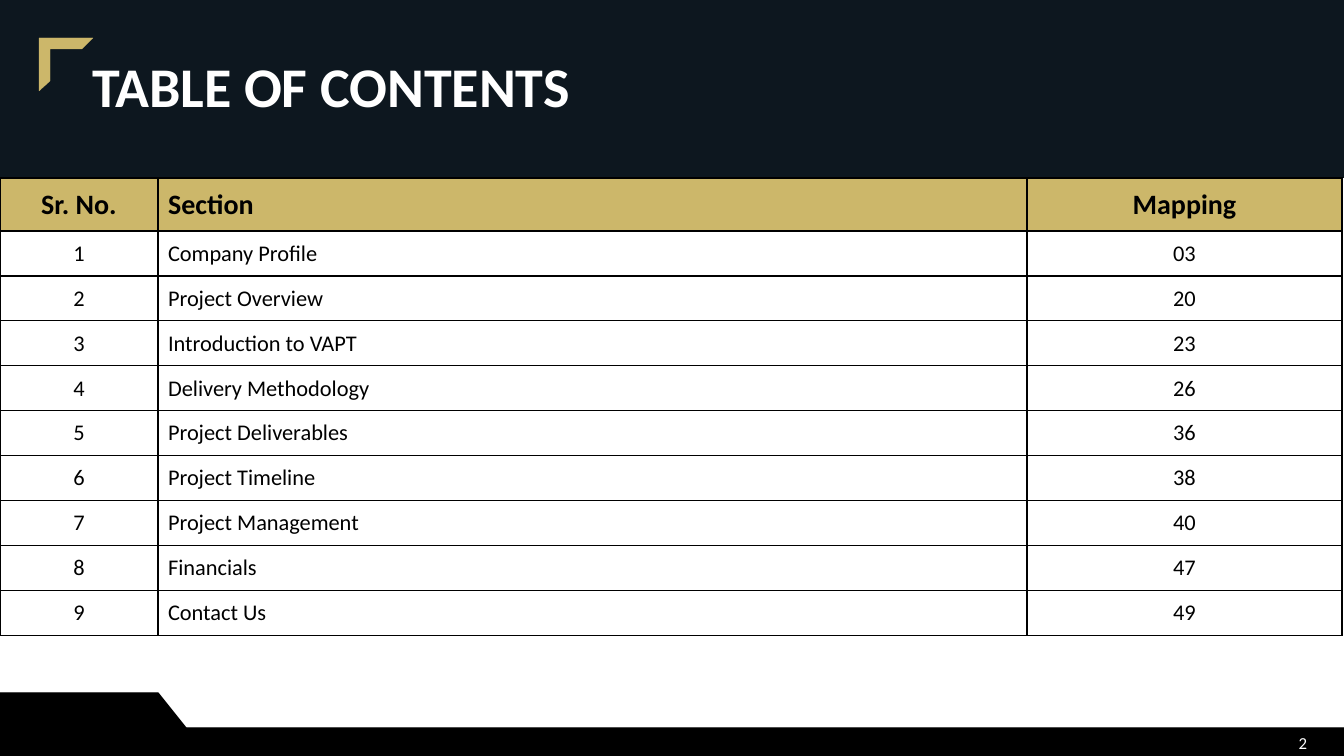
from dataclasses import dataclass

from pptx import Presentation
from pptx.dml.color import RGBColor
from pptx.enum.text import MSO_ANCHOR, MSO_AUTO_SIZE, PP_ALIGN
from pptx.oxml import parse_xml
from pptx.oxml.ns import nsdecls
from pptx.util import Pt

LEFT, CENTER, RIGHT = PP_ALIGN.LEFT, PP_ALIGN.CENTER, PP_ALIGN.RIGHT
MIDDLE = MSO_ANCHOR.MIDDLE
NO_FIT = MSO_AUTO_SIZE.NONE

SCALE = 914400 / 100.8  # EMU per px
WIDE, HIGH = 1344, 756
TOP = 178
FACE = "Calibri"
BLACK, WHITE, GOLD, NAVY = "000000", "FFFFFF", "CCB76A", "0D171F"


@dataclass
class Column:
    head: str
    width: int
    align: PP_ALIGN


@dataclass
class Outline:
    points: list[tuple[int, int]]
    color: str
    line: float


COLUMNS = [
    Column("Sr. No.", 158, CENTER),
    Column("Section", 869, LEFT),
    Column("Mapping", 315, CENTER),
]
HEAD_ROW, BODY_ROW = 53, 45
SECTIONS = [
    ("Company Profile", "03"),
    ("Project Overview", "20"),
    ("Introduction to VAPT", "23"),
    ("Delivery Methodology", "26"),
    ("Project Deliverables", "36"),
    ("Project Timeline", "38"),
    ("Project Management", "40"),
    ("Financials", "47"),
    ("Contact Us", "49"),
]
FOOTER = Outline(
    [(0, 693), (158, 693), (186, 728), (WIDE, 728), (WIDE, HIGH), (0, HIGH)], BLACK, 1
)
CORNER = Outline(
    [(39, 38), (39, 91), (50, 81), (50, 49), (82, 49), (93, 38)], GOLD, 0.16
)


def px(count: int) -> int:
    return round(count * SCALE)


def rgb(color: str) -> RGBColor:
    return RGBColor.from_string(color)


def paint(item, color: str) -> None:
    item.fill.solid()
    item.fill.fore_color.rgb = rgb(color)


def place(shape, left: int, top: int, width: int, height: int) -> None:
    spots = {"left": left, "top": top, "width": width, "height": height}
    for name, value in spots.items():
        setattr(shape, name, px(value))


def write(frame, text: str, size: int, color: str, align: PP_ALIGN, bold: bool = False):
    frame.text = text
    frame.word_wrap = True
    frame.vertical_anchor = MIDDLE
    para = frame.paragraphs[0]
    para.alignment = align
    font = para.runs[0].font
    for name, value in {"name": FACE, "size": Pt(size), "bold": bold}.items():
        setattr(font, name, value)
    font.color.rgb = rgb(color)
    return para


def draw(shapes, form: Outline) -> None:
    pen = shapes.build_freeform(*form.points[0], scale=SCALE)
    pen.add_line_segments(form.points[1:], close=True)
    shape = pen.convert_to_shape()
    shape.shadow.inherit = False
    paint(shape, form.color)
    shape.line.color.rgb = rgb(form.color)
    shape.line.width = Pt(form.line)


def edge(cell) -> None:
    props = cell._tc.get_or_add_tcPr()
    for side in "LRTB":
        props.append(parse_xml(
            f'<a:ln{side} {nsdecls("a")} w="{Pt(1)}"><a:solidFill>'
            f'<a:srgbClr val="{BLACK}"/></a:solidFill></a:ln{side}>'
        ))


def tabulate(shapes) -> None:
    heads = tuple(col.head for col in COLUMNS)
    rows = [heads] + [(str(n), *row) for n, row in enumerate(SECTIONS, 1)]
    width = sum(col.width for col in COLUMNS)
    height = HEAD_ROW + BODY_ROW * len(SECTIONS)
    table = shapes.add_table(
        len(rows), len(COLUMNS), 0, px(TOP), px(width), px(height)
    ).table
    for slot, col in zip(table.columns, COLUMNS):
        slot.width = px(col.width)
    for r, row in enumerate(rows):
        top = r == 0
        table.rows[r].height = px(HEAD_ROW if top else BODY_ROW)
        for c, text in enumerate(row):
            cell = table.cell(r, c)
            write(cell.text_frame, text, 20 if top else 16, BLACK, COLUMNS[c].align, top)
            cell.vertical_anchor = MIDDLE
            edge(cell)
            paint(cell, GOLD if top else WHITE)


def main() -> None:
    deck = Presentation()
    deck.slide_width, deck.slide_height = px(WIDE), px(HIGH)
    slide = deck.slides.add_slide(deck.slide_layouts[5])
    shapes = slide.shapes

    # Title band
    title = shapes.title
    place(title, 0, 0, WIDE, TOP)
    paint(title, NAVY)
    para = write(title.text_frame, "TABLE OF CONTENTS", 40, WHITE, LEFT, True)
    title.text_frame.auto_size = NO_FIT
    para.line_spacing = 0.9
    para._p.get_or_add_pPr().set("indent", str(px(82)))

    # Footer and page number
    draw(shapes, FOOTER)
    page = shapes.add_textbox(0, 0, 0, 0)
    place(page, 1015, 723, 302, 40)
    write(page.text_frame, "2", 12, WHITE, RIGHT)

    # Contents and corner mark
    tabulate(shapes)
    draw(shapes, CORNER)
    deck.save("out.pptx")


if __name__ == "__main__":
    main()
